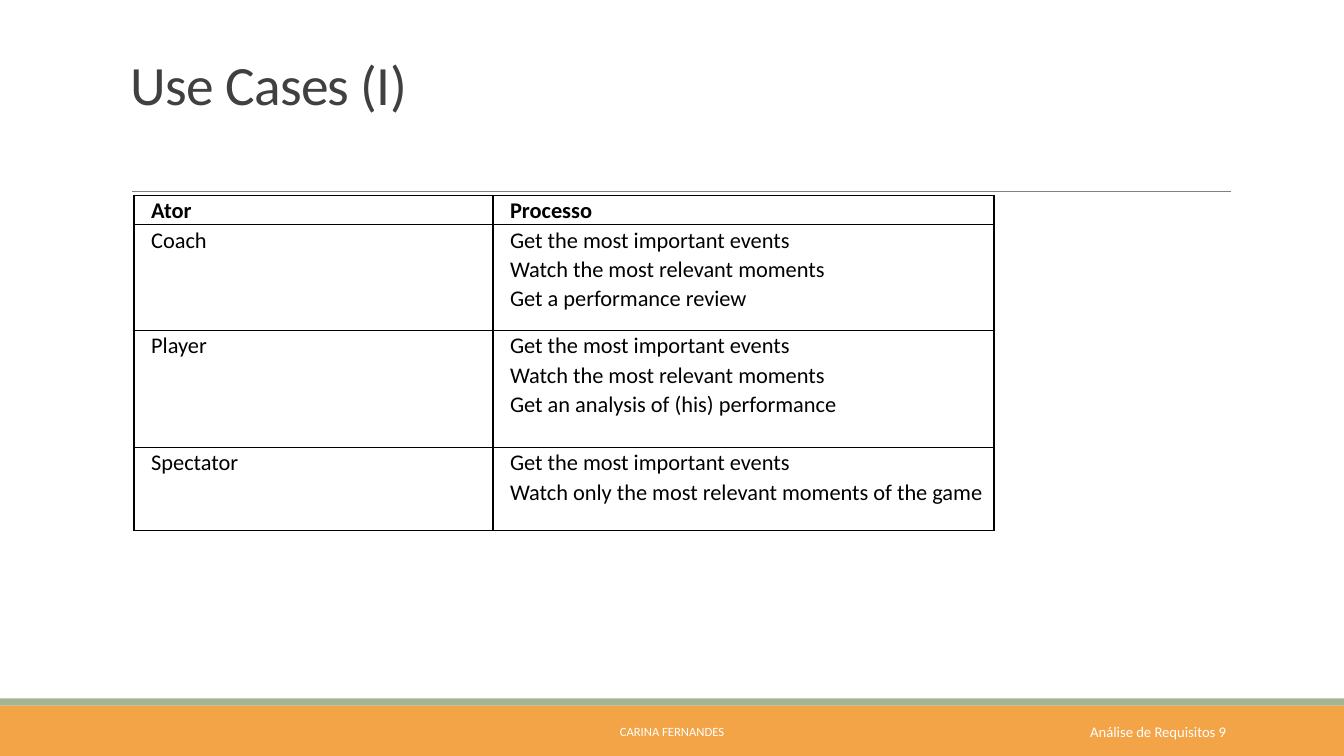
from lxml import etree
from pptx import Presentation
from pptx import util as u
from pptx.dml.color import RGBColor
from pptx.enum import shapes, text
from pptx.oxml import ns

WIDTH, HEIGHT = 13.33, 7.5
FONT = "Calibri"
ORANGE = RGBColor(0xF3, 0xA4, 0x47)
GREEN = RGBColor(0xA5, 0xB5, 0x92)
GREY = RGBColor(0x80, 0x80, 0x80)
DARK = RGBColor(0x40, 0x40, 0x40)
BLACK = RGBColor(0, 0, 0)
WHITE = RGBColor(0xFF, 0xFF, 0xFF)

COLUMN_WIDTHS = [3.56, 4.97]
ROW_HEIGHTS = [0.29, 1.05, 1.16, 0.82]
SHARED_EVENTS = "Get the most important events"
SHARED_MOMENTS = "Watch the most relevant moments"
USE_CASES = [
    ("Ator", ["Processo"]),
    ("Coach", [SHARED_EVENTS, SHARED_MOMENTS, "Get a performance review"]),
    ("Player", [SHARED_EVENTS, SHARED_MOMENTS, "Get an analysis of (his) performance"]),
    ("Spectator", [SHARED_EVENTS, "Watch only the most relevant moments of the game"]),
]


def inches(box):
    return [u.Inches(length) for length in box]


def style_runs(paragraph, size, color, bold=False):
    for run in paragraph.runs:
        run.font.name = FONT
        run.font.size = u.Pt(size)
        run.font.color.rgb = color
        run.font.bold = bold


def add_label(slide, box, wording, size, color, align, anchor):
    text_frame = slide.shapes.add_textbox(*inches(box)).text_frame
    text_frame.word_wrap = True
    text_frame.vertical_anchor = anchor
    text_frame.text = wording
    paragraph = text_frame.paragraphs[0]
    paragraph.alignment = align
    style_runs(paragraph, size, color)
    return text_frame


def add_band(slide, box, color):
    band = slide.shapes.add_shape(shapes.MSO_SHAPE.RECTANGLE, *inches(box))
    band.shadow.inherit = False
    band.fill.solid()
    band.fill.fore_color.rgb = color
    band.line.fill.background()


def add_title(slide, box):
    """Place the heading in the box, with the rule along its bottom edge."""
    left, top, width, height = box
    bottom = top + height
    rule = slide.shapes.add_connector(
        shapes.MSO_CONNECTOR.STRAIGHT,
        *inches((left + 0.11, bottom, left + width + 0.01, bottom)))
    rule.line.color.rgb = GREY
    rule.line.width = u.Pt(0.5)
    etree.SubElement(rule._element.spPr, ns.qn("a:effectLst"))

    text_frame = add_label(slide, box, "Use Cases (I)", 39.6, DARK,
                           text.PP_ALIGN.LEFT, text.MSO_ANCHOR.TOP)
    text_frame.margin_top = u.Inches(0.29)
    paragraph = text_frame.paragraphs[0]
    paragraph.line_spacing = 0.85
    paragraph.runs[0]._r.get_or_add_rPr().set("spc", "-50")


def add_borders(cell):
    properties = cell._tc.get_or_add_tcPr()
    for index, side in enumerate(("lnL", "lnR", "lnT", "lnB")):
        line = etree.Element(ns.qn(f"a:{side}"), w=str(u.Pt(1)))
        fill = etree.SubElement(line, ns.qn("a:solidFill"))
        etree.SubElement(fill, ns.qn("a:srgbClr"), val=str(BLACK))
        properties.insert(index, line)


def fill_cell(cell, lines, bold):
    cell.margin_left, cell.margin_right = u.Inches(0.17), u.Inches(0.07)
    cell.margin_top = cell.margin_bottom = 0
    cell.fill.background()
    add_borders(cell)
    cell.text_frame.text = "\n".join(lines)
    for paragraph in cell.text_frame.paragraphs:
        paragraph.line_spacing = 1.07
        style_runs(paragraph, 16, BLACK, bold)


def add_use_case_table(slide, left, top):
    box = left, top, sum(COLUMN_WIDTHS), sum(ROW_HEIGHTS)
    table = slide.shapes.add_table(
        len(ROW_HEIGHTS), len(COLUMN_WIDTHS), *inches(box)).table
    table.first_row = table.horz_banding = False
    for column, width in zip(table.columns, COLUMN_WIDTHS):
        column.width = u.Inches(width)
    for index, (actor, processes) in enumerate(USE_CASES):
        table.rows[index].height = u.Inches(ROW_HEIGHTS[index])
        fill_cell(table.cell(index, 0), [actor], index == 0)
        fill_cell(table.cell(index, 1), processes, index == 0)


def add_footer(slide, box):
    left, top, width, height = box
    stripe = 0.07
    add_band(slide, (left, top + stripe, width, height - stripe), ORANGE)
    add_band(slide, (left, top, width, stripe), GREEN)
    label_top = top + 0.13
    add_label(slide, (left + 4.03, label_top, 5.27, 0.4), "CARINA FERNANDES",
              9, WHITE, text.PP_ALIGN.CENTER, text.MSO_ANCHOR.MIDDLE)
    add_label(slide, (left + 9.57, label_top, 2.69, 0.4), "Análise de Requisitos 9",
              10.5, WHITE, text.PP_ALIGN.RIGHT, text.MSO_ANCHOR.MIDDLE)


def main():
    presentation = Presentation()
    presentation.slide_width = u.Inches(WIDTH)
    presentation.slide_height = u.Inches(HEIGHT)
    slide = presentation.slides.add_slide(presentation.slide_layouts[6])
    add_footer(slide, (0, 6.93, WIDTH, HEIGHT - 6.93))
    add_title(slide, (1.2, 0.31, 11, 1.59))
    add_use_case_table(slide, 1.33, 1.94)
    presentation.save("out.pptx")


if __name__ == "__main__":
    main()
